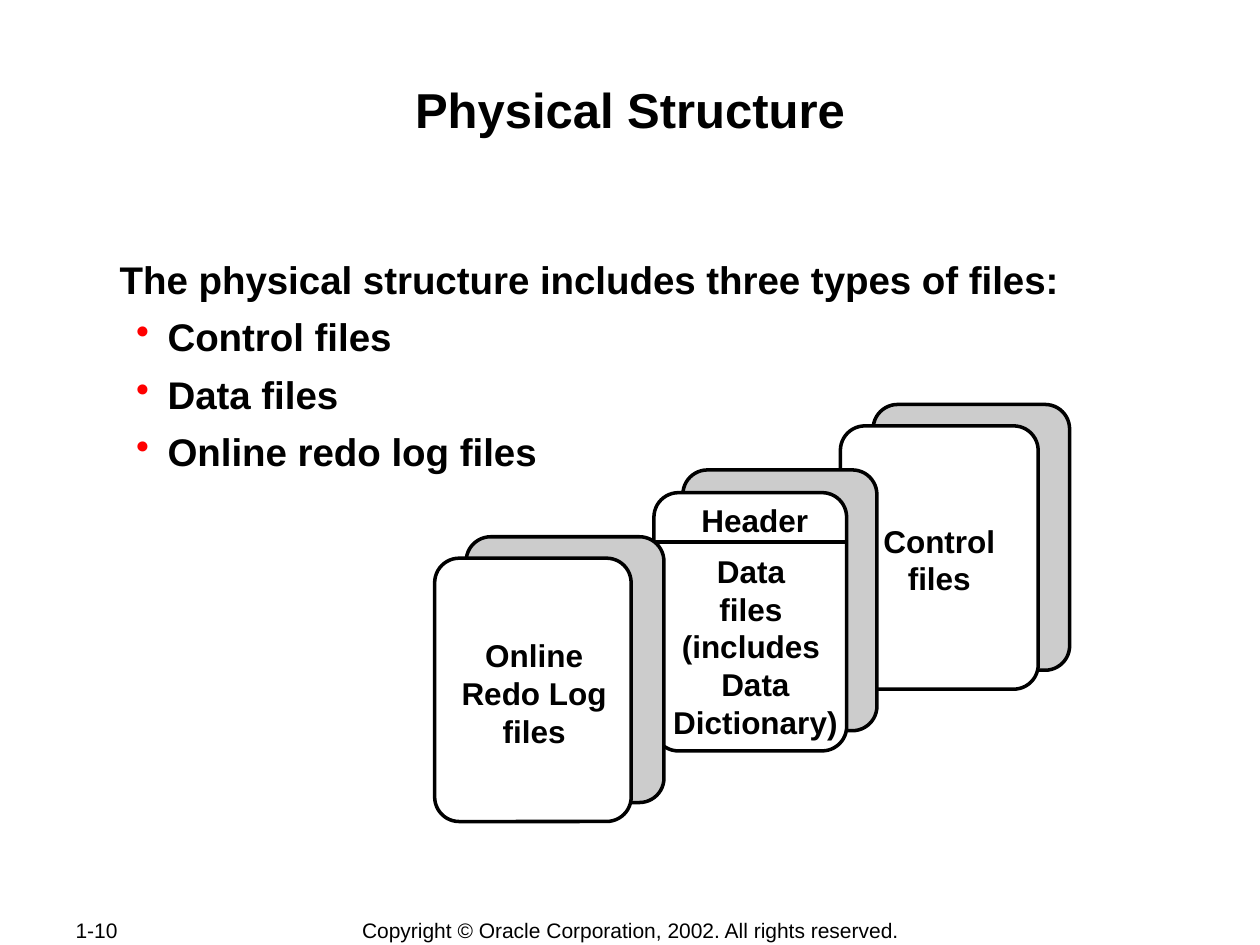
from pptx import Presentation
from pptx.dml.color import RGBColor
from pptx.enum.shapes import MSO_CONNECTOR, MSO_SHAPE
from pptx.enum.text import MSO_ANCHOR, PP_ALIGN
from pptx.oxml.ns import qn
from pptx.util import Inches, Pt
from lxml.etree import SubElement

INK, PAPER, GREY, RED = "000000", "FFFFFF", "CCCCCC", "FF0000"
LEFT, MID = PP_ALIGN.LEFT, PP_ALIGN.CENTER
RADIUS = 0.195
INDENT = 0.07

TITLE = "Physical Structure"
LEAD = "The physical structure includes three types of files:"
ITEMS = ["Control files", "Data files", "Online redo log files"]
PAGE = "1-10"
RIGHTS = "Copyright © Oracle Corporation, 2002. All rights reserved."

# Back to front: back card, front card, label box, label lines, indented lines
STACKS = [
    ((6.93, 3.21, 1.56, 2.11), (6.67, 3.38, 1.57, 2.09),
     (6.91, 4.09, 1.09, 0.7), ["Control", "files"], []),
    ((5.42, 3.73, 1.54, 2.07), (5.19, 3.91, 1.53, 2.05),
     (5.17, 4.33, 1.58, 1.6),
     ["Data", "files", "(includes", "Data", "Dictionary)"], [3, 4]),
    ((3.7, 4.26, 1.57, 2.11), (3.45, 4.43, 1.56, 2.09),
     (3.56, 5, 1.36, 1), ["Online", "Redo Log", "files"], []),
]
HEADER = ("Header", (5.43, 3.93, 1.12, 0.4))
RULE = (5.19, 4.3, 6.72, 4.3)


def color(code):
    return RGBColor.from_string(code)


def inches(nums):
    return [Inches(n) for n in nums]


def write(slide, box, lines, size, align=MID, bold=True, anchor=MSO_ANCHOR.TOP):
    """Add a text box and return its paragraphs."""
    frame = slide.shapes.add_textbox(*inches(box)).text_frame
    look = {"word_wrap": True, "vertical_anchor": anchor, "margin_left": 0,
            "margin_right": 0, "margin_top": 0, "margin_bottom": 0}
    for name, value in look.items():
        setattr(frame, name, value)
    frame.text = "\n".join(lines)
    for para in frame.paragraphs:
        para.alignment = align
        for run in para.runs:
            face = {"name": "Arial", "size": Pt(size), "bold": bold}
            for name, value in face.items():
                setattr(run.font, name, value)
            run.font.color.rgb = color(INK)
    return frame.paragraphs


def bullet(para):
    props = para._p.get_or_add_pPr()
    props.set("marL", str(Inches(0.38)))
    props.set("indent", str(Inches(-0.25)))
    tint = SubElement(props, qn("a:buClr"))
    SubElement(tint, qn("a:srgbClr"), val=RED)
    SubElement(props, qn("a:buChar"), char="•")
    para.space_before = Pt(6.5)


def card(slide, box, fill):
    shape = slide.shapes.add_shape(MSO_SHAPE.ROUNDED_RECTANGLE, *inches(box))
    shape.adjustments[0] = RADIUS / min(box[2:])
    shape.shadow.inherit = False
    shape.fill.solid()
    shape.fill.fore_color.rgb = color(fill)
    shape.line.color.rgb = color(INK)
    shape.line.width = Pt(2)


def rule(slide, ends):
    line = slide.shapes.add_connector(MSO_CONNECTOR.STRAIGHT, *inches(ends))
    line.line.color.rgb = color(INK)
    line.line.width = Pt(2)
    SubElement(line._element.spPr, qn("a:effectLst"))


def stack(slide, back, front, box, lines, shifted):
    card(slide, back, GREY)
    card(slide, front, PAPER)
    left, top, width, height = box
    paras = write(slide, (left, top + 0.05, width, height - 0.1), lines, 18)
    for i in shifted:
        paras[i]._p.get_or_add_pPr().set("marL", str(Inches(INDENT)))


def main():
    deck = Presentation()
    deck.slide_width, deck.slide_height = inches((10, 7.5))
    slide = deck.slides.add_slide(deck.slide_layouts[6])

    foot = {"size": 12, "bold": False, "anchor": MSO_ANCHOR.MIDDLE}
    write(slide, (2.76, 7.28, 4.49, 0.21), [RIGHTS], **foot)
    write(slide, (0.6, 7.28, 0.96, 0.21), [PAGE], align=LEFT, **foot)
    write(slide, (1, 0.63, 8, 0.91), [TITLE], 28)
    body = write(slide, (0.95, 2.03, 8.05, 1.68), [LEAD] + ITEMS, 22, LEFT)
    for para in body[1:]:
        bullet(para)

    control, data, online = STACKS
    stack(slide, *control)
    stack(slide, *data)
    word, box = HEADER
    write(slide, box, [word], 18, anchor=MSO_ANCHOR.MIDDLE)
    rule(slide, RULE)
    stack(slide, *online)
    deck.save("out.pptx")


if __name__ == "__main__":
    main()
